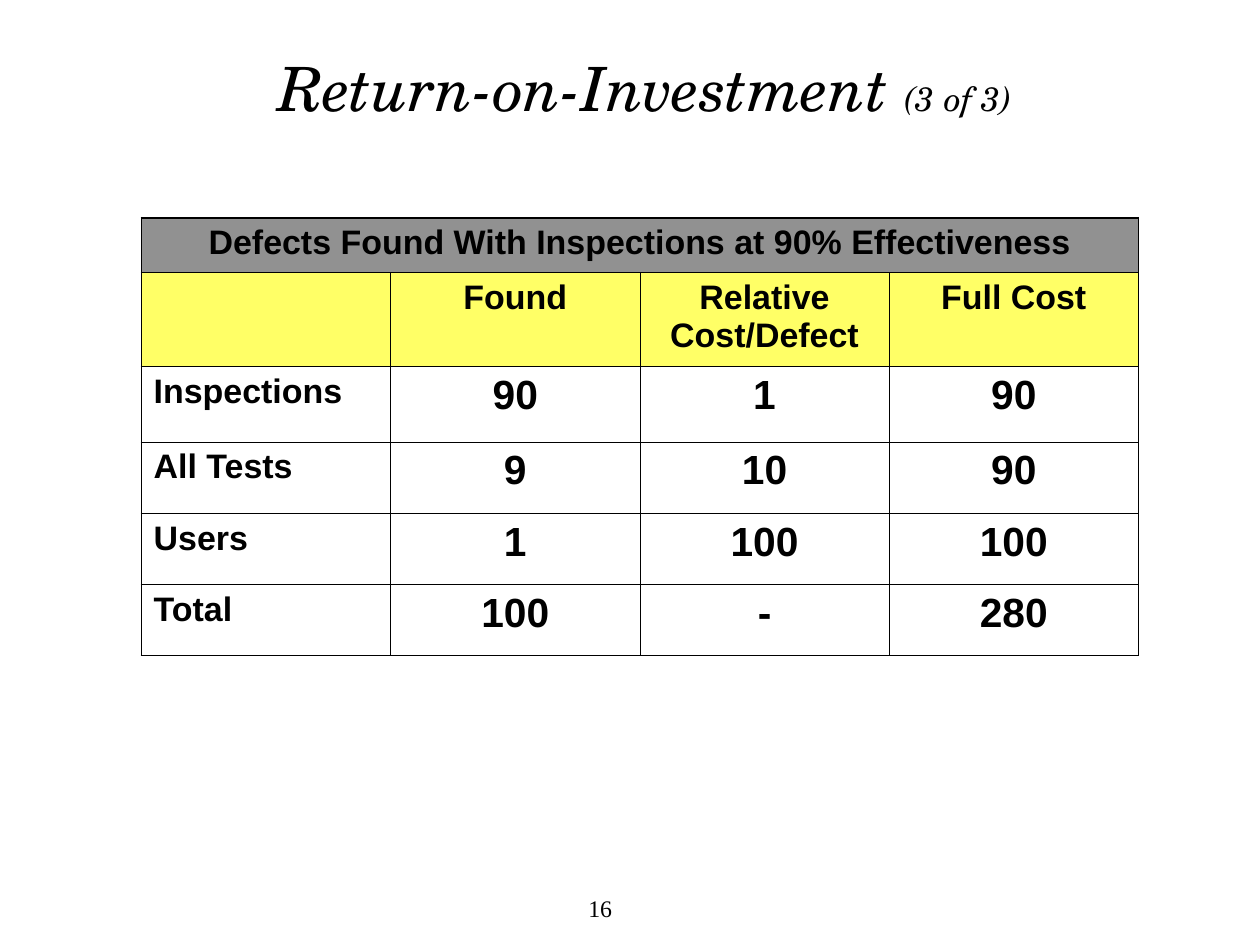
"""Build the return-on-investment slide with its table of defects found."""
from lxml.etree import SubElement
from pptx import Presentation
from pptx.dml.color import RGBColor
from pptx.enum.text import MSO_ANCHOR as Anchor, MSO_AUTO_SIZE as Fit, PP_ALIGN as Align
from pptx.oxml.ns import qn
from pptx.util import Pt

BLACK = RGBColor(0x00, 0x00, 0x00)
GRAY = RGBColor(0x91, 0x91, 0x91)
YELLOW = RGBColor(0xFF, 0xFF, 0x66)
THIN, THICK = 0.45, 1.08

TITLE, PART = "Return-on-Investment ", "(3 of 3)"
PAGE = "16"
ROWS = [
    ("Defects Found With Inspections at 90% Effectiveness", "", "", ""),
    ("", "Found", "Relative Cost/Defect", "Full Cost"),
    ("Inspections", "90", "1", "90"),
    ("All Tests", "9", "10", "90"),
    ("Users", "1", "100", "100"),
    ("Total", "100", "-", "280"),
]
HEIGHTS = (32.5, 55.4, 44.4, 42, 42, 42)
FILLS = {0: GRAY, 1: YELLOW}
LEFT, TOP, COL = 83.4, 128.4, 147


def style(font, name, size, **looks):
    font.name, font.size = name, Pt(size)
    font.color.rgb = BLACK
    for key, value in looks.items():
        setattr(font, key, value)


def frame(cell, widths):
    props = cell._tc.get_or_add_tcPr()
    for side, width in widths.items():
        line = SubElement(props, qn("a:ln" + side), w=str(Pt(width)))
        fill = SubElement(line, qn("a:solidFill"))
        SubElement(fill, qn("a:srgbClr"), val=str(BLACK))


def add_title(slide):
    box = slide.shapes.title
    box.left, box.top, box.width, box.height = Pt(89.3), Pt(26.6), Pt(582.5), Pt(55.4)
    text = box.text_frame
    text.auto_size, text.vertical_anchor = Fit.NONE, Anchor.MIDDLE
    para = text.paragraphs[0]
    para.alignment, para.line_spacing = Align.CENTER, 0.9
    for words, size in ((TITLE, 36), (PART, 20)):
        run = para.add_run()
        run.text = words
        style(run.font, "TeX Gyre Schola", size, italic=True)


def add_page(slide):
    box = slide.shapes.add_textbox(Pt(275.8), Pt(514.8), Pt(156.2), Pt(41.8))
    text = box.text_frame
    text.text, text.vertical_anchor = PAGE, Anchor.MIDDLE
    text.word_wrap = False
    para = text.paragraphs[0]
    para.alignment = Align.CENTER
    style(para.font, "Times New Roman", 14)


def add_grid(slide):
    count, wide = len(ROWS), len(ROWS[0])
    table = slide.shapes.add_table(
        count, wide, Pt(LEFT), Pt(TOP), Pt(COL * wide), Pt(sum(HEIGHTS))).table
    table.first_row = table.horz_banding = False
    for col in table.columns:
        col.width = Pt(COL)
    for r, (row, high) in enumerate(zip(ROWS, HEIGHTS)):
        table.rows[r].height = Pt(high)
        for c, words in enumerate(row):
            cell = table.cell(r, c)
            frame(cell, {
                "L": THICK if c == 0 else THIN,
                "R": THICK if r == 0 or c == wide - 1 else THIN,
                "T": THICK if r == 0 else THIN,
                "B": THICK if r == count - 1 else THIN,
            })
            if r in FILLS:
                cell.fill.solid()
                cell.fill.fore_color.rgb = FILLS[r]
            else:
                cell.fill.background()
            cell.text = words
            para = cell.text_frame.paragraphs[0]
            body = r not in FILLS
            para.alignment = Align.LEFT if body and c == 0 else Align.CENTER
            style(para.font, "Arial", 24 if body and c else 20, bold=True)
    table.cell(0, 0).merge(table.cell(0, wide - 1))


def main():
    deck = Presentation()
    deck.slide_width, deck.slide_height = Pt(743), Pt(557.3)
    slide = deck.slides.add_slide(deck.slide_layouts[5])
    add_page(slide)
    add_title(slide)
    add_grid(slide)
    deck.save("out.pptx")


if __name__ == "__main__":
    main()
